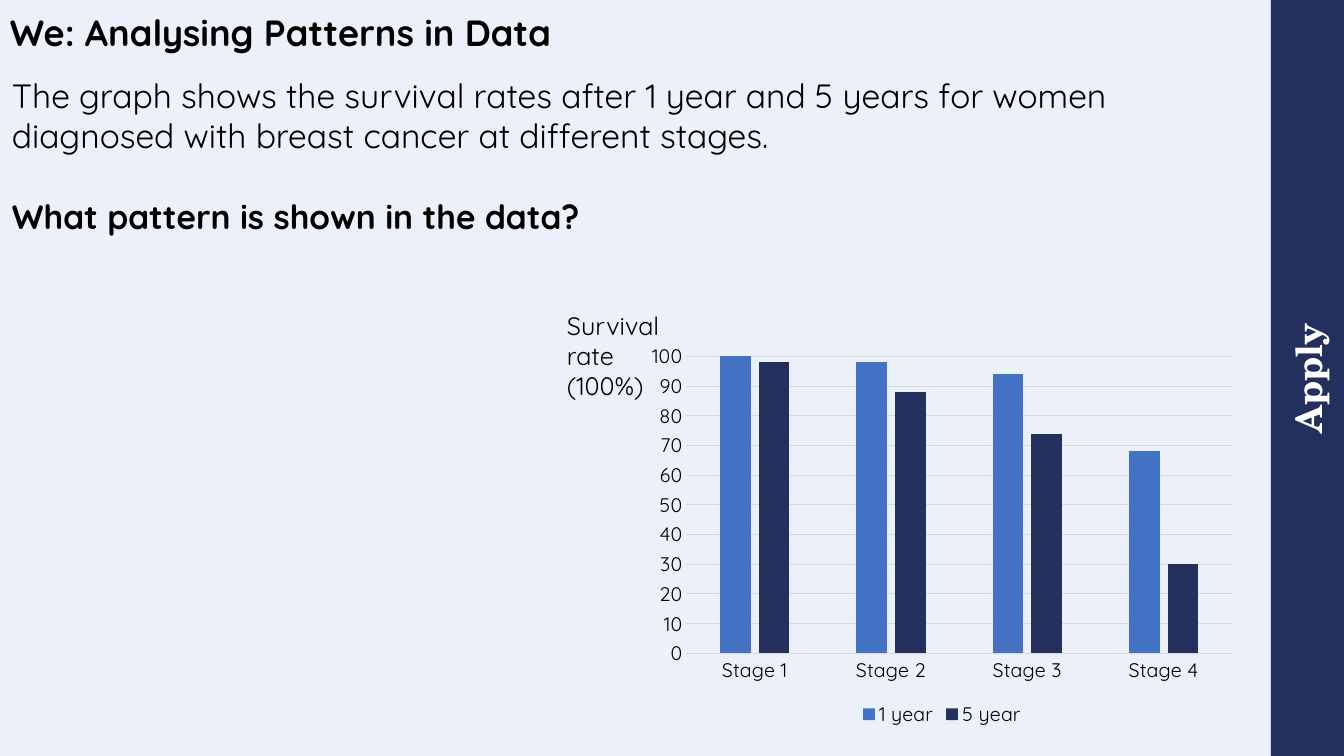
from dataclasses import dataclass

from lxml.etree import SubElement
from pptx import Presentation
from pptx.chart.data import CategoryChartData
from pptx.dml.color import RGBColor
from pptx.enum.chart import XL_CHART_TYPE as ChartType
from pptx.enum.chart import XL_LEGEND_POSITION as LegendPosition
from pptx.enum.chart import XL_TICK_MARK as TickMark
from pptx.enum.shapes import MSO_SHAPE as ShapeType
from pptx.enum.text import MSO_ANCHOR as Anchor
from pptx.enum.text import PP_ALIGN as Align
from pptx.util import Emu, Pt

TITLE = "We: Analysing Patterns in Data"
INTRO = (
    "The graph shows the survival rates after 1 year and 5 years for women "
    "diagnosed with breast cancer at different stages."
)
QUESTION = "What pattern is shown in the data?"
AXIS_LABEL = "Survival rate (100%)"
SECTION = "Apply"
STAGES = ["Stage 1", "Stage 2", "Stage 3", "Stage 4"]
SURVIVAL = {"1 year": [100, 98, 94, 68], "5 year": [98, 88, 74, 30]}

SLIDE_WIDTH, SLIDE_HEIGHT = 1344, 756
BAR_THICKNESS = 73
TITLE_BOX = (0, -5, 1170, 80)
BODY_BOX = (2, 70, 1178, 173)
AXIS_LABEL_BOX = (557, 305, 149, 102)
CHART_BOX = (640, 336, 604, 395)


@dataclass(frozen=True)
class Theme:
    background: str = "ECF1F9"
    navy: str = "232F5D"
    blue: str = "4472C4"
    grid: str = "D9D9D9"
    black: str = "000000"
    white: str = "FFFFFF"
    body_font: str = "Quicksand"
    section_font: str = "TeX Gyre Schola"
    title_size: int = 26
    body_size: int = 24
    label_size: int = 18
    chart_size: int = 14


THEME = Theme()


def px(value):
    return Emu(round(value * 914400 / 100.8))


def place(box):
    return [px(value) for value in box]


def color(value):
    return RGBColor.from_string(value)


def style_font(font, size, name=THEME.body_font, ink=THEME.black, bold=False):
    font.size = Pt(size)
    font.name = name
    font.bold = bold
    font.color.rgb = color(ink)


def write(paragraph, text, size, align=Align.LEFT, line_spacing=None, before=None, **font):
    paragraph.alignment = align
    if line_spacing:
        paragraph.line_spacing = line_spacing
    if before:
        paragraph.space_before = Pt(before)
    run = paragraph.add_run()
    run.text = text
    style_font(run.font, size, **font)


def add_text_frame(slide, box, anchor=Anchor.TOP):
    frame = slide.shapes.add_textbox(*place(box)).text_frame
    frame.word_wrap = True
    frame.vertical_anchor = anchor
    return frame


def add_section_bar(slide):
    center_x = SLIDE_WIDTH - BAR_THICKNESS / 2
    box = (center_x - SLIDE_HEIGHT / 2, (SLIDE_HEIGHT - BAR_THICKNESS) / 2, SLIDE_HEIGHT, BAR_THICKNESS)
    shape = slide.shapes.add_shape(ShapeType.RECTANGLE, *place(box))
    shape.rotation = 270
    shape.shadow.inherit = False
    shape.fill.solid()
    shape.fill.fore_color.rgb = color(THEME.navy)
    shape.line.fill.background()
    frame = shape.text_frame
    frame.margin_left = frame.margin_right = frame.margin_top = frame.margin_bottom = 0
    frame.vertical_anchor = Anchor.MIDDLE
    write(frame.paragraphs[0], SECTION, THEME.title_size, align=Align.CENTER,
          name=THEME.section_font, ink=THEME.white, bold=True)


def add_survival_chart(slide):
    data = CategoryChartData()
    data.categories = STAGES
    for name, rates in SURVIVAL.items():
        data.add_series(name, rates)
    chart = slide.shapes.add_chart(ChartType.COLUMN_CLUSTERED, *place(CHART_BOX), data).chart
    style_font(chart.font, THEME.chart_size)
    chart.has_title = False
    chart.has_legend = True
    chart.legend.position = LegendPosition.BOTTOM
    chart.legend.include_in_layout = False
    style_font(chart.legend.font, THEME.chart_size)

    plot = chart.plots[0]
    plot.vary_by_categories = False
    plot.gap_width = 219
    plot.overlap = -27
    for series, fill in zip(plot.series, (THEME.blue, THEME.navy)):
        series.format.fill.solid()
        series.format.fill.fore_color.rgb = color(fill)

    rates, stages = chart.value_axis, chart.category_axis
    for axis in (rates, stages):
        axis.major_tick_mark = axis.minor_tick_mark = TickMark.NONE
        style_font(axis.tick_labels.font, THEME.chart_size)
    rates.minimum_scale, rates.maximum_scale, rates.major_unit = 0, 100, 10
    rates.format.line.fill.background()
    for line in (rates.major_gridlines.format.line, stages.format.line):
        line.color.rgb = color(THEME.grid)
        line.width = Pt(0.75)


def main():
    presentation = Presentation()
    presentation.slide_width = px(SLIDE_WIDTH)
    presentation.slide_height = px(SLIDE_HEIGHT)
    slide = presentation.slides.add_slide(presentation.slide_layouts[6])
    slide.background.fill.solid()
    slide.background.fill.fore_color.rgb = color(THEME.background)

    add_section_bar(slide)
    title = add_text_frame(slide, TITLE_BOX, Anchor.MIDDLE)
    write(title.paragraphs[0], TITLE, THEME.title_size, line_spacing=0.9, bold=True)
    body = add_text_frame(slide, BODY_BOX)
    write(body.paragraphs[0], INTRO, THEME.body_size)
    write(body.add_paragraph(), QUESTION, THEME.body_size, before=29, bold=True)
    axis_label = add_text_frame(slide, AXIS_LABEL_BOX)
    write(axis_label.paragraphs[0], AXIS_LABEL, THEME.label_size)
    add_survival_chart(slide)
    presentation.save("out.pptx")


if __name__ == "__main__":
    main()
